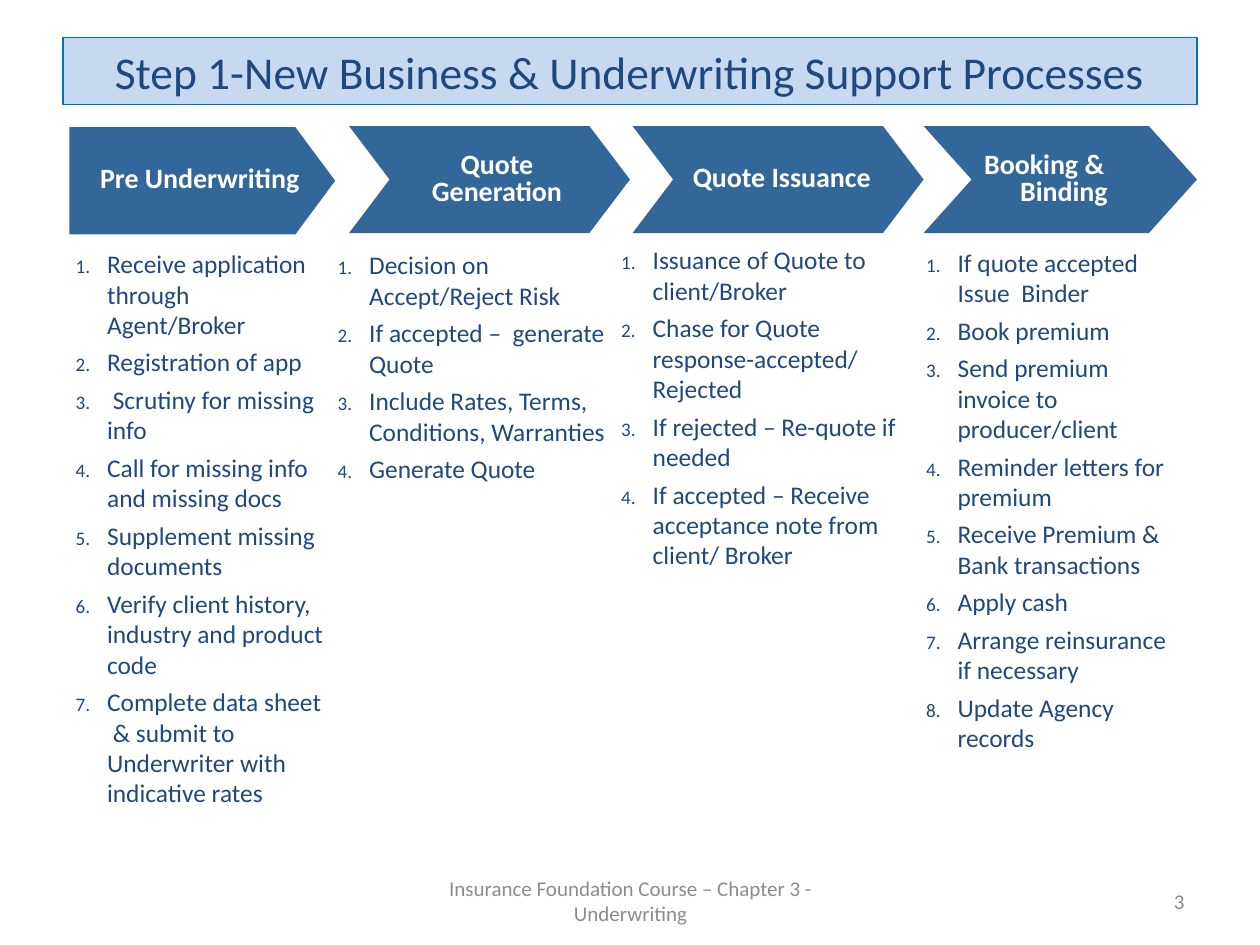
from lxml import etree
from pptx import Presentation
from pptx.dml.color import RGBColor
from pptx.enum.shapes import MSO_SHAPE
from pptx.enum.text import MSO_ANCHOR, MSO_AUTO_SIZE, PP_ALIGN
from pptx.oxml.ns import qn
from pptx.util import Inches, Pt

LEFT, MID, RIGHT, JUST = PP_ALIGN.LEFT, PP_ALIGN.CENTER, PP_ALIGN.RIGHT, PP_ALIGN.JUSTIFY
TOP, CORE = MSO_ANCHOR.TOP, MSO_ANCHOR.MIDDLE
FIXED = MSO_AUTO_SIZE.NONE
PLATE, CHEV = MSO_SHAPE.PENTAGON, MSO_SHAPE.CHEVRON
COLS, ROWS = 100, 75
HUES = {"ink": "1F497D", "pale": "C6D9F1", "edge": "0070C0",
        "step": "336699", "white": "FFFFFF", "grey": "8C8C8C"}

STEPS = [
    (PLATE, (5.5, 10.1, 21.1, 8.5), 0.371, 0.12, [("Pre Underwriting", MID)]),
    (CHEV, (27.7, 10, 22.3, 8.5), 0.379, 0.12, [("Quote Generation", MID)]),
    (CHEV, (50.2, 10, 23.1, 8.5), 0.379, 0.06, [("Quote Issuance", MID)]),
    (CHEV, (73.3, 10, 21.7, 8.5), 0.449, 0.06, [("Booking &", JUST), ("Binding", MID)]),
]
LISTS = [
    ((5, 19.2, 21.7, 49.2), [
        "Receive application through Agent/Broker",
        "Registration of app",
        " Scrutiny for missing info",
        "Call for missing info and missing docs",
        "Supplement missing documents",
        "Verify client history, industry and product code",
        "Complete data sheet  & submit to Underwriter with indicative rates"]),
    ((25.8, 19.3, 23.3, 24.9), [
        "Decision on Accept/Reject Risk",
        "If accepted –  generate Quote",
        "Include Rates, Terms, Conditions, Warranties",
        "Generate Quote"]),
    ((48.3, 18.9, 25, 29.5), [
        "Issuance of Quote to client/Broker",
        "Chase for Quote response-accepted/ Rejected",
        "If rejected – Re-quote if needed",
        "If accepted – Receive acceptance note from client/ Broker"]),
    ((72.5, 19.1, 22.5, 41.7), [
        "If quote accepted Issue  Binder",
        "Book premium",
        "Send premium invoice to producer/client",
        "Reminder letters for premium",
        "Receive Premium & Bank transactions",
        "Apply cash",
        "Arrange reinsurance if necessary",
        "Update Agency records"]),
]


def color(name):
    return RGBColor.from_string(HUES[name])


def write(para, text, size=14.5, hue="ink", bold=False, align=LEFT,
          space=1.0, above=0, left=0.0, hang=0.0, count=False):
    """Put formatted text into a paragraph."""
    run = para.add_run()
    run.text = text
    font = run.font
    font.name, font.size, font.bold = "Calibri", Pt(size), bold
    font.color.rgb = color(hue)
    para.alignment, para.line_spacing = align, space
    para.space_before, para.space_after = Pt(above), Pt(0)
    props = para._p.get_or_add_pPr()
    props.set("marL", str(Inches(left)))
    props.set("indent", str(Inches(-hang)))
    if count:
        etree.SubElement(props, qn("a:buSzPct"), val="75000")
        etree.SubElement(props, qn("a:buFont"), typeface="+mj-lt")
        etree.SubElement(props, qn("a:buAutoNum"), type="arabicPeriod")


class Deck:
    """Holds the style and the current slide."""

    def __init__(self):
        self.file = Presentation()
        self.file.slide_width, self.file.slide_height = Inches(10), Inches(7.5)
        self.slide = self.file.slides.add_slide(self.file.slide_layouts[4])
        self.col = self.file.slide_width / COLS
        self.row = self.file.slide_height / ROWS

    def area(self, box):
        x, y, w, h = box
        return [round(n) for n in (x * self.col, y * self.row, w * self.col, h * self.row)]

    def place(self, shape, box):
        shape.left, shape.top, shape.width, shape.height = self.area(box)

    def fill(self, shape, lines, anchor, **style):
        frame = shape.text_frame
        frame.word_wrap, frame.auto_size = True, FIXED
        frame.vertical_anchor = anchor
        for i, (text, align) in enumerate(lines):
            para = frame.add_paragraph() if i else frame.paragraphs[0]
            write(para, text, align=align, **style)

    def title(self, box, text):
        shape = self.slide.shapes.title
        self.place(shape, box)
        shape.fill.solid()
        shape.fill.fore_color.rgb = color("pale")
        shape.line.color.rgb = color("edge")
        shape.line.width = Pt(0.75)
        self.fill(shape, [(text, MID)], CORE, size=26)

    def step(self, kind, box, bend, left, lines):
        shape = self.slide.shapes.add_shape(kind, *self.area(box))
        shape.adjustments[0] = bend
        shape.shadow.inherit = False
        shape.fill.solid()
        shape.fill.fore_color.rgb = color("step")
        shape.line.fill.background()
        frame = shape.text_frame
        frame.margin_left = frame.margin_right = Inches(0.04)
        frame.margin_top = frame.margin_bottom = Inches(0.04)
        self.fill(shape, lines, CORE, size=16, hue="white", bold=True, space=0.8, left=left)

    def tasks(self, slot, box, items):
        shape = self.slide.placeholders[slot]
        self.place(shape, box)
        self.fill(shape, [(item, LEFT) for item in items], TOP,
                  above=4, left=0.25, hang=0.25, count=True)

    def note(self, box, text, align):
        shape = self.slide.shapes.add_textbox(*self.area(box))
        self.fill(shape, [(text, align)], CORE, size=12, hue="grey")


def main():
    deck = Deck()
    deck.title((5, 3, 90, 5.3), "Step 1-New Business & Underwriting Support Processes")
    for step in STEPS:
        deck.step(*step)
    for slot, (box, items) in enumerate(LISTS, 1):
        deck.tasks(slot, box, items)
    deck.note((34.2, 69.5, 31.7, 4), "Insurance Foundation Course – Chapter 3 - Underwriting", MID)
    deck.note((71.7, 69.5, 23.3, 4), "3", RIGHT)
    deck.file.save("out.pptx")


if __name__ == "__main__":
    main()
